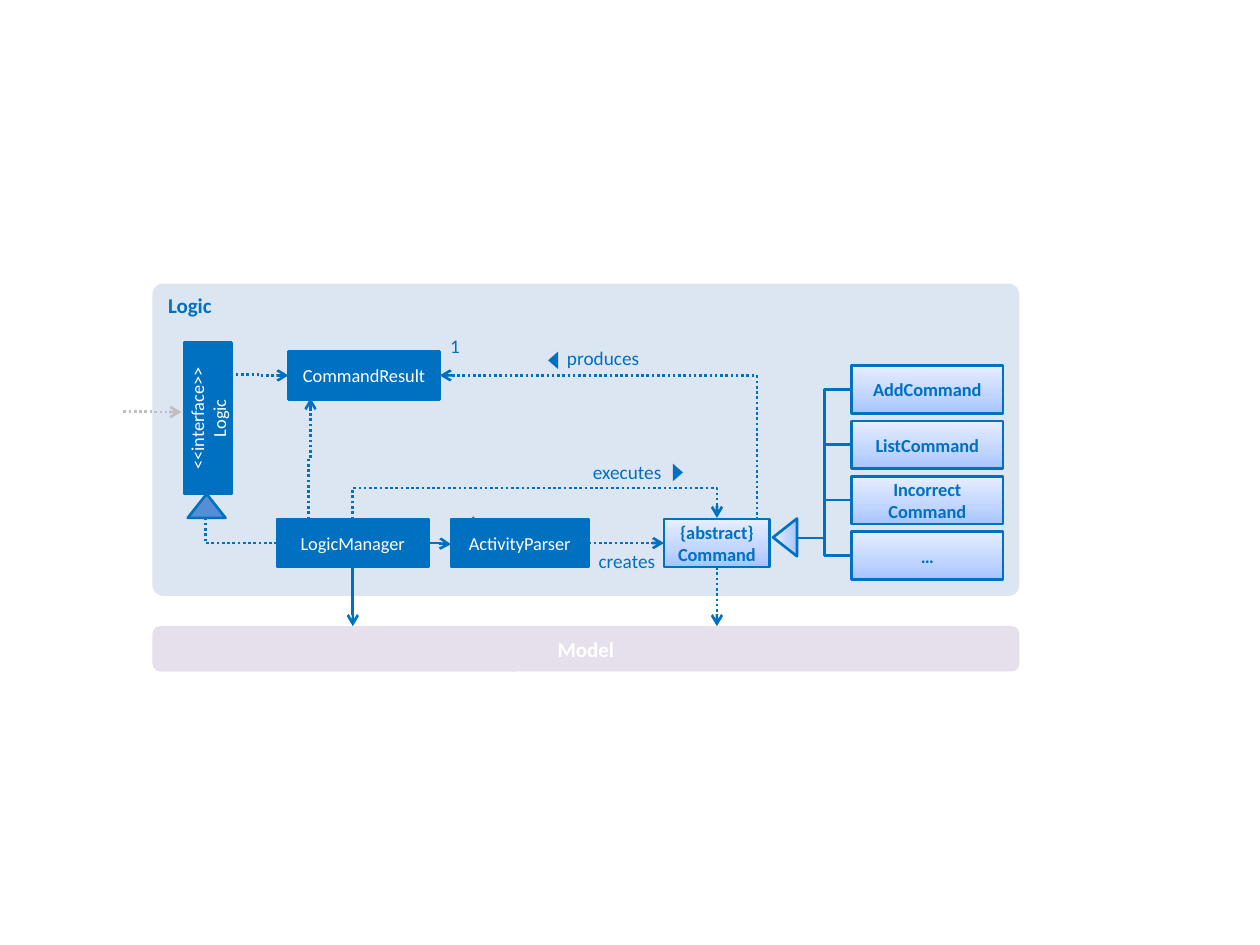
from copy import deepcopy
from dataclasses import dataclass

from lxml.etree import SubElement
from pptx import Presentation
from pptx.dml.color import RGBColor
from pptx.enum.dml import MSO_LINE as Dash
from pptx.enum.shapes import MSO_CONNECTOR as Link, MSO_SHAPE as Form
from pptx.enum.text import MSO_ANCHOR as Anchor, PP_ALIGN as Align
from pptx.oxml.ns import qn
from pptx.util import Inches, Pt

COLS, ROWS = 100, 75
WIDE, HIGH = Inches(10), Inches(7.5)
BLUE, WHITE, GREY = "0070C0", "FFFFFF", "BFBFBF"
PALE = ((0, "A4C4FF"), (0.35, "BFD4FF"), (1, "E6EEFF"))
BOX_W, BOX_H, STEP = 12, 3.8, 4.4
MID = 43.1


@dataclass
class Node:
    x: float
    y: float
    w: float
    h: float
    text: str = ""
    fill: str | tuple = BLUE
    line: str | None = BLUE
    form: Form = Form.RECTANGLE
    turn: int = 0
    size: float = 10.5
    bold: bool = False
    ink: str = WHITE
    align: Align = Align.CENTER
    anchor: Anchor = Anchor.MIDDLE
    round: float | None = None


@dataclass
class Wire:
    x1: float
    y1: float
    x2: float
    y2: float
    dots: bool = True
    arrow: bool = True
    color: str = BLUE
    bend: float | None = None
    corner: bool = False
    rise: bool = False


@dataclass
class Label:
    x: float
    y: float
    w: float
    text: str
    align: Align = Align.RIGHT


def rgb(code: str) -> RGBColor:
    return RGBColor.from_string(code)


def across(cols: float) -> int:
    return round(WIDE * cols / COLS)


def down(rows: float) -> int:
    return round(HIGH * rows / ROWS)


def style(frame, text: str, size: float, ink: str, align: Align, bold: bool = False) -> None:
    frame.word_wrap = True
    frame.text = text
    for para in frame.paragraphs:
        para.alignment = align
        font = para.font
        font.name, font.size, font.bold = "Calibri", Pt(size), bold
        font.color.rgb = rgb(ink)


def shade(shape, fill: str | tuple) -> None:
    if isinstance(fill, str):
        shape.fill.solid()
        shape.fill.fore_color.rgb = rgb(fill)
        return
    shape.fill.gradient()
    shape.fill.gradient_angle = 90
    stops = shape._element.spPr.find(qn("a:gradFill")).find(qn("a:gsLst"))
    stops.insert(1, deepcopy(stops[0]))
    for stop, (place, code) in zip(shape.fill.gradient_stops, fill):
        stop.position = place
        stop.color.rgb = rgb(code)


def draw_node(shapes, node: Node) -> None:
    shape = shapes.add_shape(node.form, across(node.x), down(node.y), across(node.w), down(node.h))
    shape.shadow.inherit = False
    shape.rotation = node.turn
    if node.round is not None:
        shape.adjustments[0] = node.round
    shade(shape, node.fill)
    if node.line:
        shape.line.color.rgb = rgb(node.line)
        shape.line.width = Pt(1.5)
    else:
        shape.line.fill.background()
    if node.text:
        shape.text_frame.vertical_anchor = node.anchor
        style(shape.text_frame, node.text, node.size, node.ink, node.align, node.bold)


def draw_wire(shapes, wire: Wire) -> None:
    x1, y1, x2, y2 = wire.x1, wire.y1, wire.x2, wire.y2
    if wire.rise:
        cx, cy, w, h = (x1 + x2) / 2, (y1 + y2) / 2, y1 - y2, x2 - x1
        x1, y1, x2, y2 = cx - w / 2, cy - h / 2, cx + w / 2, cy + h / 2
    bent = wire.bend is not None or wire.corner
    kind = Link.ELBOW if bent else Link.STRAIGHT
    link = shapes.add_connector(kind, across(x1), down(y1), across(x2), down(y2))
    props = link._element.spPr
    if wire.rise:
        props.find(qn("a:xfrm")).set("rot", "16200000")
    geom = props.find(qn("a:prstGeom"))
    if wire.corner:
        geom.set("prst", "bentConnector2")
    elif bent:
        bend = f"val {round(wire.bend * 100000)}"
        SubElement(geom.find(qn("a:avLst")), qn("a:gd"), name="adj1", fmla=bend)
    link.line.color.rgb = rgb(wire.color)
    link.line.width = Pt(1.5)
    if wire.dots:
        link.line.dash_style = Dash.ROUND_DOT
    if wire.arrow:
        SubElement(props.find(qn("a:ln")), qn("a:tailEnd"), type="arrow")
    SubElement(props, qn("a:effectLst"))


def draw_label(shapes, label: Label) -> None:
    box = shapes.add_textbox(across(label.x), down(label.y), across(label.w), down(2.5))
    frame = box.text_frame
    frame.margin_left = frame.margin_right = frame.margin_top = frame.margin_bottom = 0
    style(frame, label.text, 11, BLUE, label.align)


def pale(x: float, y: float, w: float, text: str) -> Node:
    return Node(x, y, w, BOX_H, text, PALE, bold=True, ink=BLUE)


def arrow(x: float, y: float, turn: int) -> Node:
    return Node(x, y, 1.4, 0.8, line=None, form=Form.ISOSCELES_TRIANGLE, turn=turn)


def main() -> None:
    deck = Presentation()
    deck.slide_width, deck.slide_height = WIDE, HIGH
    shapes = deck.slides.add_slide(deck.slide_layouts[6]).shapes

    kinds = ("AddCommand", "ListCommand", "Incorrect\vCommand", "…")
    tops = [29 + STEP * i for i in range(len(kinds))]
    panel = Form.ROUNDED_RECTANGLE
    tip = Form.ISOSCELES_TRIANGLE
    nodes = [
        Node(12.1, 22.5, 68.8, 24.8, "Logic", "DCE6F2", None, panel, size=12, bold=True,
             ink=BLUE, align=Align.LEFT, anchor=Anchor.TOP, round=0.035),
        Node(12.1, 49.7, 68.8, 3.6, "Model", "E6E0EC", None, panel, size=12, bold=True),
        Node(22.9, 27.9, BOX_W, BOX_H, "CommandResult"),
        Node(22, 41.2, BOX_W, BOX_H, "LogicManager"),
        Node(35.8, 41.2, 10.9, BOX_H, "ActivityParser"),
        Node(10.5, 31.3, BOX_W, BOX_H, "<<interface>>\nLogic", turn=270),
        pale(52.7, 41.2, 8.4, "{abstract}\vCommand"),
        *(pale(67.6, top, BOX_W, text) for top, text in zip(tops, kinds)),
        Node(14.9, 39.2, 3, 1.9, fill="558ED5", form=tip),
        Node(60.8, 41.7, 3, 1.9, fill=PALE, form=tip, turn=270),
        arrow(53.1, 37.1, 90),
        arrow(43.2, 28.2, 270),
    ]
    wires = [
        Wire(60, 41.2, 34.9, 29.8, bend=-0.003),
        Wire(18.3, 29.7, 22.9, 29.8, bend=0.5),
        Wire(9.8, 32.65, 14.4, 32.7, color=GREY, bend=0.5),
        Wire(34, MID, 35.8, 43.2, dots=False, bend=0.5),
        Wire(46.7, MID, 52.7, MID),
        Wire(22, MID, 16.3, 41.1, arrow=False, corner=True),
        Wire(28, 45, 28, 49.7, dots=False),
        Wire(56.9, 45, 56.9, 49.7),
        Wire(28, 41.2, 56.9, 41.1, bend=25, rise=True),
        Wire(24.5, 41.2, 24.65, 31.6, bend=0.5, rise=True),
        *(Wire(63.3, 42.7, 67.6, top + BOX_H / 2, dots=False, arrow=False, bend=0.5)
          for top in tops),
    ]
    labels = [
        Label(44.5, 36.5, 8, "executes"),
        Label(45, 27.5, 8, "produces", Align.LEFT),
        Label(35.1, 26.5, 1.4, "1"),
        Label(36.5, 40.5, 1.4, "1"),
        Label(45.9, 43.6, 6.1, "creates"),
    ]
    for draw, items in ((draw_node, nodes), (draw_wire, wires), (draw_label, labels)):
        for item in items:
            draw(shapes, item)
    deck.save("out.pptx")


if __name__ == "__main__":
    main()
